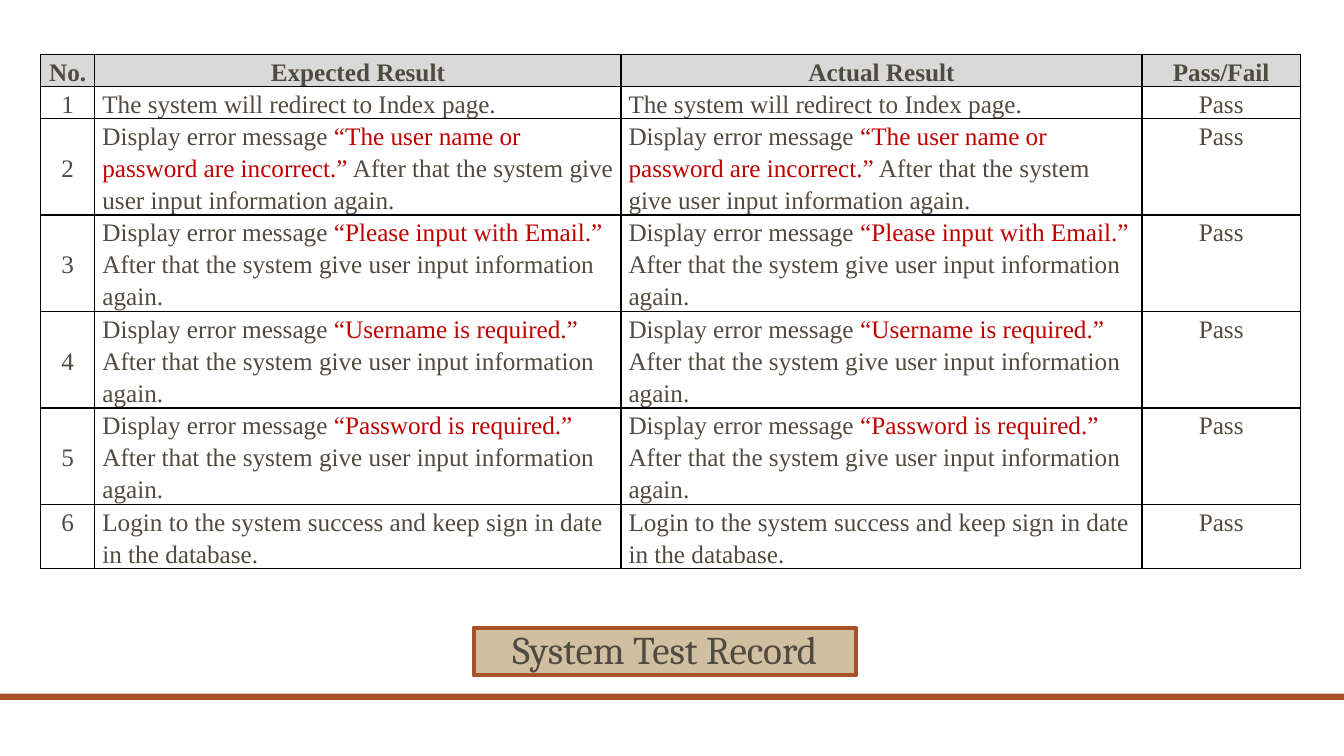
"""Build the System Test Record slide."""
from lxml.etree import SubElement
from pptx import Presentation
from pptx.dml.color import RGBColor
from pptx.enum.shapes import MSO_SHAPE as Shape
from pptx.enum.text import MSO_ANCHOR as Anchor, PP_ALIGN as Align
from pptx.oxml.ns import qn
from pptx.util import Cm, Pt

TITLE = "System Test Record"
HEADERS = ["No.", "Expected Result", "Actual Result", "Pass/Fail"]
AGAIN = " After that the system give user input information again."
RESULTS = [
    (["The system will redirect to Index page."], 1),
    (["Display error message ", "“The user name or password are incorrect.”", AGAIN], 3),
    (["Display error message ", "“Please input with Email.”", AGAIN], 3),
    (["Display error message ", "“Username is required.”", AGAIN], 3),
    (["Display error message ", "“Password is required.”", AGAIN], 3),
    (["Login to the system success and keep sign in date in the database."], 2),
]
COLORS = {
    "text": "514A40", "error": "C00000", "header": "D9D9D9",
    "border": "000000", "accent": "A85229", "title": "D0C0A1",
}
COLUMN_WIDTHS = [1.37, 13.26, 13.13, 3.99]
LINE_HEIGHT = 0.81
TABLE_LEFT, TABLE_TOP = 1.02, 1.37
SLIDE_WIDTH, SLIDE_HEIGHT = 33.87, 19.05


def color(name):
    return RGBColor.from_string(COLORS[name])


def style(run, font, size, name="text", bold=False):
    run.font.name, run.font.size, run.font.bold = font, Pt(size), bold
    run.font.color.rgb = color(name)


def add_borders(cell):
    properties = cell._tc.get_or_add_tcPr()
    for index, side in enumerate(("lnL", "lnR", "lnT", "lnB")):
        line = SubElement(properties, qn(f"a:{side}"), w=str(Pt(1)))
        fill = SubElement(line, qn("a:solidFill"))
        SubElement(fill, qn("a:srgbClr"), val=COLORS["border"])
        properties.insert(index, line)


def fill_cell(cell, parts, centered, header):
    cell.margin_left = cell.margin_right = Cm(0.19)
    cell.margin_top = cell.margin_bottom = 0
    paragraph = cell.text_frame.paragraphs[0]
    paragraph.alignment = Align.CENTER if centered else Align.LEFT
    paragraph.line_spacing = 1.15
    for part in parts:
        run = paragraph.add_run()
        run.text = part
        style(run, "Times New Roman", 18, "error" if part.startswith("“") else "text", header)
    if header:
        cell.fill.solid()
        cell.fill.fore_color.rgb = color("header")
    else:
        cell.fill.background()
    add_borders(cell)


def add_results(slide):
    rows = [([[header] for header in HEADERS], 1)]
    for number, (result, lines) in enumerate(RESULTS, 1):
        rows.append(([[str(number)], result, result, ["Pass"]], lines))
    height = LINE_HEIGHT * sum(lines for _, lines in rows)
    table = slide.shapes.add_table(
        len(rows), len(HEADERS), Cm(TABLE_LEFT), Cm(TABLE_TOP),
        Cm(sum(COLUMN_WIDTHS)), Cm(height)).table
    table.first_row = table.horz_banding = False
    for column, width in zip(table.columns, COLUMN_WIDTHS):
        column.width = Cm(width)
    for row_index, (cells, lines) in enumerate(rows):
        table.rows[row_index].height = Cm(LINE_HEIGHT * lines)
        for column_index, parts in enumerate(cells):
            cell = table.cell(row_index, column_index)
            fill_cell(cell, parts, column_index in (0, 3) or row_index == 0, row_index == 0)
            if column_index == 0 and lines == 3:
                cell.vertical_anchor = Anchor.MIDDLE


def add_box(slide, left, top, width, height, fill):
    shape = slide.shapes.add_shape(Shape.RECTANGLE, Cm(left), Cm(top), Cm(width), Cm(height))
    shape.shadow.inherit = False
    shape.fill.solid()
    shape.fill.fore_color.rgb = color(fill)
    shape.line.fill.background()
    return shape


def add_title(slide):
    box = add_box(slide, 11.94, 15.82, 9.63, 1.2, "title")
    box.line.color.rgb = color("accent")
    box.line.width = Pt(3)
    frame = box.text_frame
    frame.text = TITLE
    frame.word_wrap = True
    frame.vertical_anchor = Anchor.MIDDLE
    frame.margin_top = frame.margin_bottom = 0
    paragraph = frame.paragraphs[0]
    paragraph.alignment = Align.CENTER
    paragraph.line_spacing = 0.9
    style(paragraph.runs[0], "Cambria", 28)


def main():
    presentation = Presentation()
    presentation.slide_width, presentation.slide_height = Cm(SLIDE_WIDTH), Cm(SLIDE_HEIGHT)
    slide = presentation.slides.add_slide(presentation.slide_layouts[6])
    add_box(slide, 0, 17.48, SLIDE_WIDTH, 0.16, "accent")
    add_title(slide)
    add_results(slide)
    presentation.save("out.pptx")


if __name__ == "__main__":
    main()
